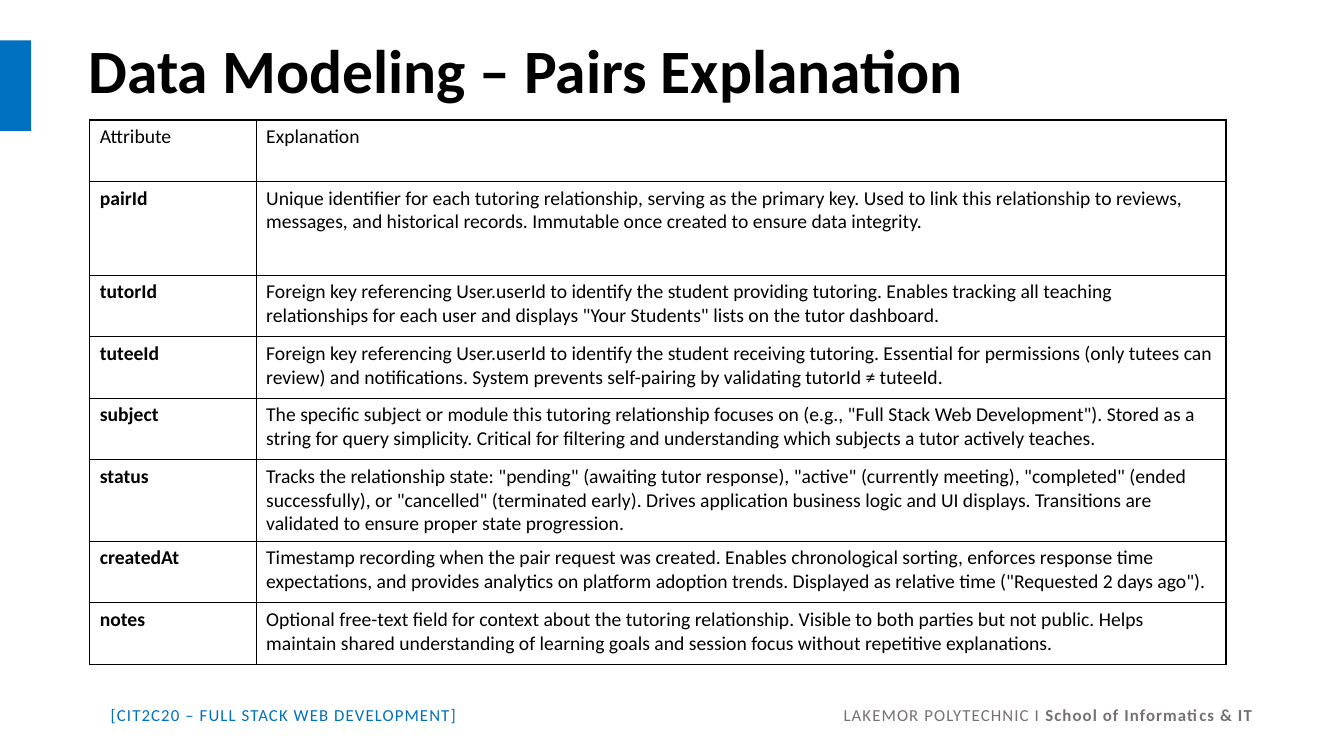
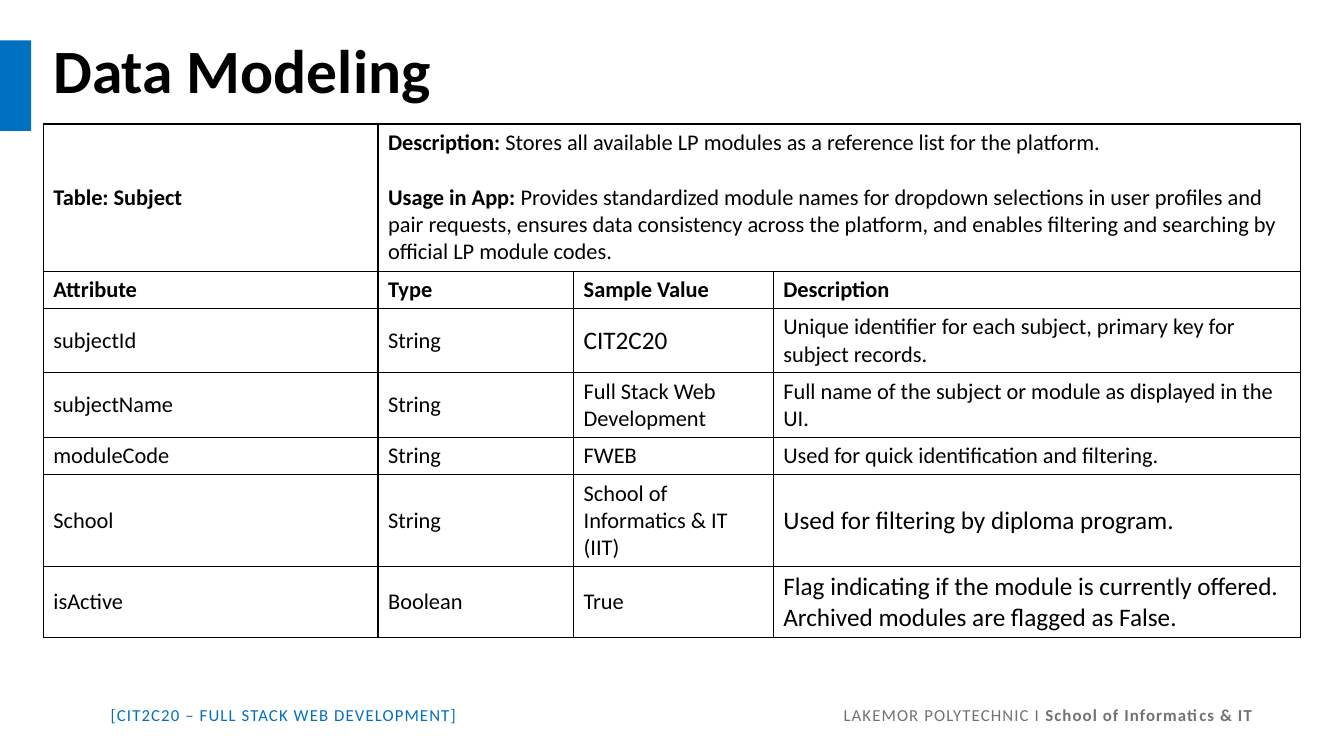
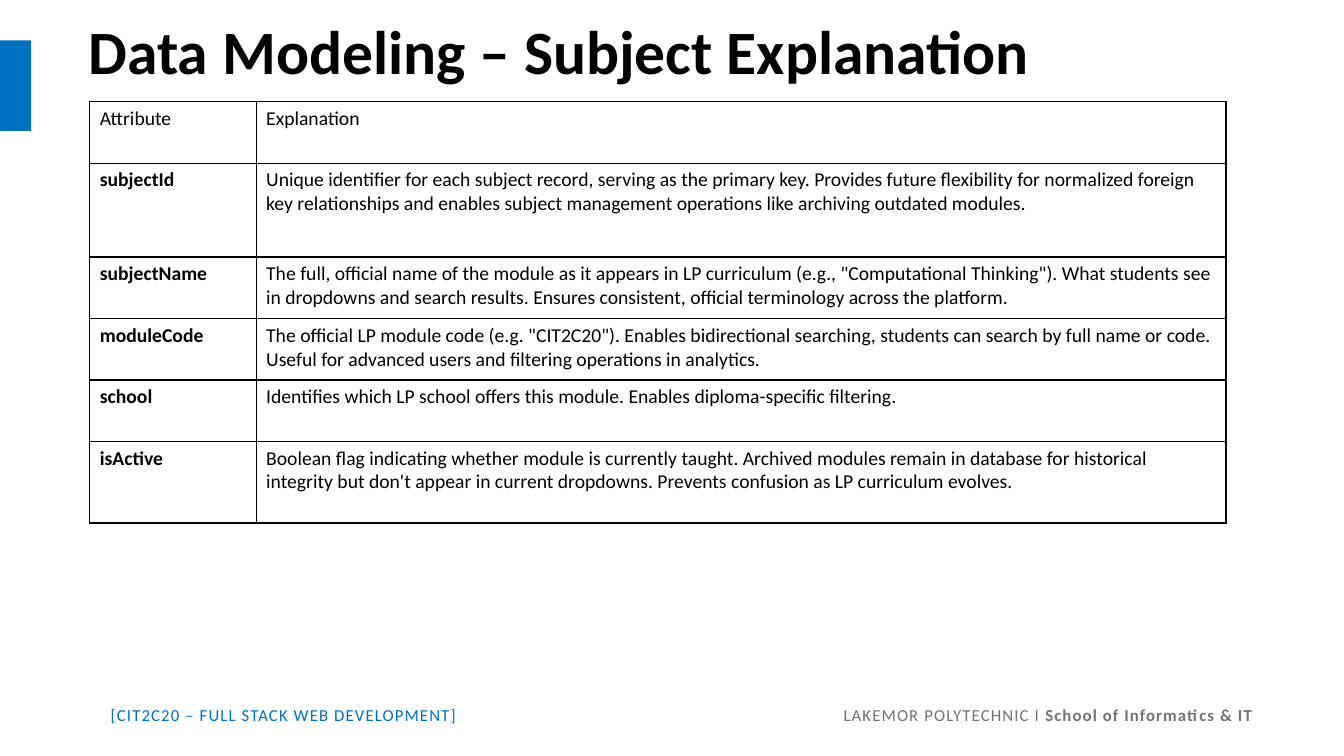
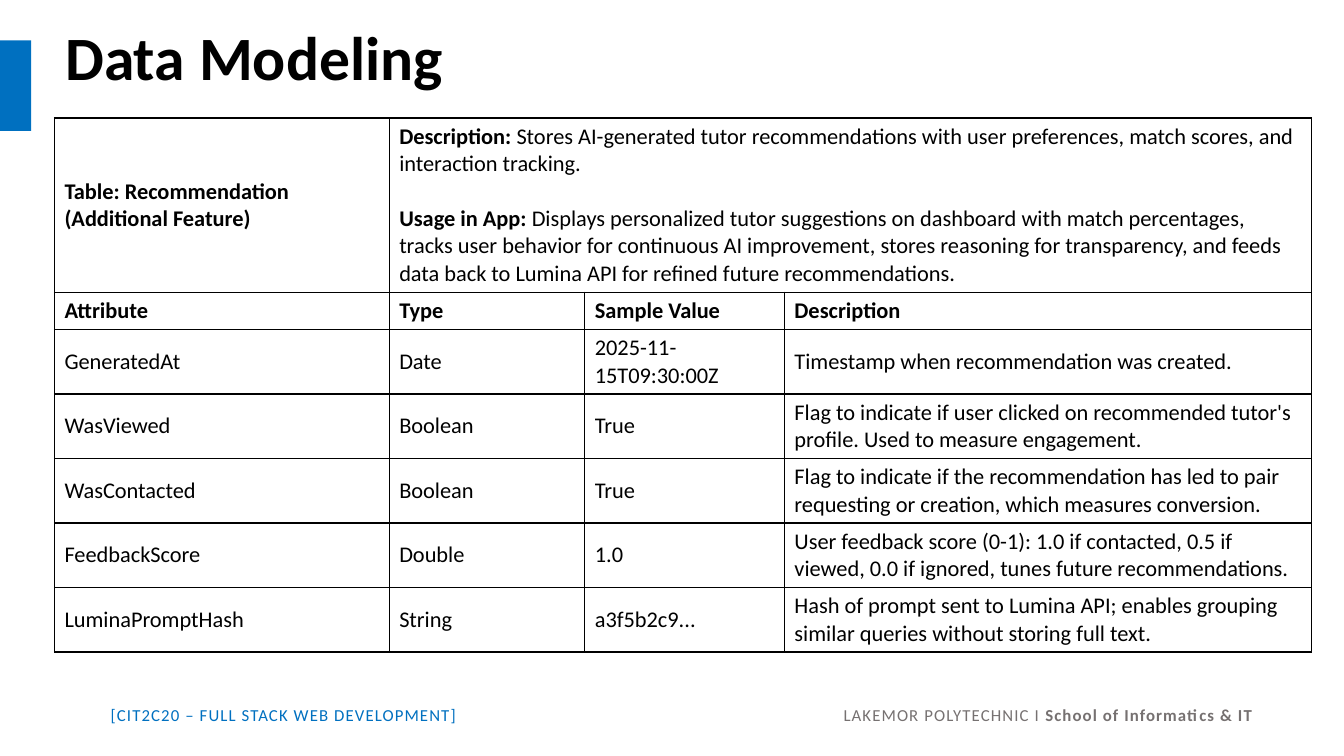
from lxml import etree
from pptx import Presentation
from pptx.dml.color import RGBColor
from pptx.enum.shapes import MSO_SHAPE
from pptx.enum.text import MSO_ANCHOR, PP_ALIGN
from pptx.oxml.ns import qn
from pptx.util import Inches, Pt

RECTANGLE = MSO_SHAPE.RECTANGLE
TOP, MIDDLE = MSO_ANCHOR.TOP, MSO_ANCHOR.MIDDLE
LEFT, RIGHT = PP_ALIGN.LEFT, PP_ALIGN.RIGHT

BLUE = RGBColor(0x00, 0x70, 0xC0)
GREY = RGBColor(0x76, 0x71, 0x71)
BLACK = RGBColor(0x00, 0x00, 0x00)
WHITE = RGBColor(0xFF, 0xFF, 0xFF)
FONT = "Calibri"
BLANK_LAYOUT = 6

EXPLANATION_COLUMNS = [1.65, 9.62]
MODEL_COLUMNS = [3.32, 1.94, 1.98, 5.23]
MODEL_HEADINGS = ["Attribute", "Type", "Sample Value", "Description"]

PAIRS_EXPLANATION = [
    ("pairId", "Unique identifier for each tutoring relationship, serving as the "
     "primary key. Used to link this relationship to reviews, messages, and "
     "historical records. Immutable once created to ensure data integrity."),
    ("tutorId", "Foreign key referencing User.userId to identify the student "
     "providing tutoring. Enables tracking all teaching relationships for each "
     'user and displays "Your Students" lists on the tutor dashboard.'),
    ("tuteeId", "Foreign key referencing User.userId to identify the student "
     "receiving tutoring. Essential for permissions (only tutees can review) and "
     "notifications. System prevents self-pairing by validating tutorId ≠ tuteeId."),
    ("subject", "The specific subject or module this tutoring relationship focuses "
     'on (e.g., "Full Stack Web Development"). Stored as a string for query '
     "simplicity. Critical for filtering and understanding which subjects a tutor "
     "actively teaches."),
    ("status", 'Tracks the relationship state: "pending" (awaiting tutor response), '
     '"active" (currently meeting), "completed" (ended successfully), or '
     '"cancelled" (terminated early). Drives application business logic and UI '
     "displays. Transitions are validated to ensure proper state progression."),
    ("createdAt", "Timestamp recording when the pair request was created. Enables "
     "chronological sorting, enforces response time expectations, and provides "
     "analytics on platform adoption trends. Displayed as relative time "
     '("Requested 2 days ago").'),
    ("notes", "Optional free-text field for context about the tutoring "
     "relationship. Visible to both parties but not public. Helps maintain shared "
     "understanding of learning goals and session focus without repetitive "
     "explanations."),
]

SUBJECT_EXPLANATION = [
    ("subjectId", "Unique identifier for each subject record, serving as the primary "
     "key. Provides future flexibility for normalized foreign key relationships and "
     "enables subject management operations like archiving outdated modules."),
    ("subjectName", "The full, official name of the module as it appears in LP "
     'curriculum (e.g., "Computational Thinking"). What students see in dropdowns '
     "and search results. Ensures consistent, official terminology across the "
     "platform."),
    ("moduleCode", 'The official LP module code (e.g. "CIT2C20"). Enables '
     "bidirectional searching, students can search by full name or code. Useful for "
     "advanced users and filtering operations in analytics."),
    ("school", "Identifies which LP school offers this module. Enables "
     "diploma-specific filtering."),
    ("isActive", "Boolean flag indicating whether module is currently taught. "
     "Archived modules remain in database for historical integrity but don't appear "
     "in current dropdowns. Prevents confusion as LP curriculum evolves."),
]

SUBJECT_MODEL = [
    ["subjectId", "String", "CIT2C20",
     "Unique identifier for each subject, primary key for subject records."],
    ["subjectName", "String", "Full Stack Web Development",
     "Full name of the subject or module as displayed in the UI."],
    ["moduleCode", "String", "FWEB", "Used for quick identification and filtering."],
    ["School", "String", "School of Informatics & IT (IIT)",
     "Used for filtering by diploma program."],
    ["isActive", "Boolean", "True",
     "Flag indicating if the module is currently offered. Archived modules are "
     "flagged as False."],
]
SUBJECT_LARGE_CELLS = {(0, 2), (3, 3), (4, 3)}

RECOMMENDATION_MODEL = [
    ["GeneratedAt", "Date", "2025-11-15T09:30:00Z",
     "Timestamp when recommendation was created."],
    ["WasViewed", "Boolean", "True",
     "Flag to indicate if user clicked on recommended tutor's profile. Used to "
     "measure engagement."],
    ["WasContacted", "Boolean", "True",
     "Flag to indicate if the recommendation has led to pair requesting or creation, "
     "which measures conversion."],
    ["FeedbackScore", "Double", "1.0",
     "User feedback score (0-1): 1.0 if contacted, 0.5 if viewed, 0.0 if ignored, "
     "tunes future recommendations."],
    ["LuminaPromptHash", "String", "a3f5b2c9...",
     "Hash of prompt sent to Lumina API; enables grouping similar queries without "
     "storing full text."],
]


def write_text(frame, paragraphs, *, size, color=BLACK, bold=False, align=LEFT,
               line_spacing=None, gap=0, tracking=None):
    """Fill a frame; a paragraph is a string or a list of (text, bold) runs."""
    frame.word_wrap = True
    for index, content in enumerate(paragraphs):
        paragraph = frame.paragraphs[0] if index == 0 else frame.add_paragraph()
        paragraph.alignment = align
        if line_spacing:
            paragraph.line_spacing = line_spacing
        if index and gap:
            paragraph.space_before = Pt(gap)
        runs = [(content, bold)] if isinstance(content, str) else content
        for text, run_bold in runs:
            run = paragraph.add_run()
            run.text = text
            run.font.name = FONT
            run.font.size = Pt(size)
            run.font.bold = run_bold
            run.font.color.rgb = color
            if tracking:
                run.font._element.set("spc", str(int(tracking * 100)))


def add_text(slide, left, top, width, height, paragraphs, anchor=TOP, **text_format):
    box = slide.shapes.add_textbox(Inches(left), Inches(top),
                                   Inches(width), Inches(height))
    box.text_frame.vertical_anchor = anchor
    write_text(box.text_frame, paragraphs, **text_format)


def add_base_slide(deck, title, left, top=0, height=1.45):
    """Add a slide with the footer, side band and title."""
    slide = deck.slides.add_slide(deck.slide_layouts[BLANK_LAYOUT])
    # Footer
    add_text(slide, 1, 6.94, 5, 0.3, ["[CIT2C20 – FULL STACK WEB DEVELOPMENT]"],
             size=12, color=BLUE, tracking=0.8)
    add_text(slide, 7.52, 6.94, 5, 0.3,
             [[("LAKEMOR POLYTECHNIC I ", False), ("School of Informatics & IT", True)]],
             size=12, color=GREY, align=RIGHT, tracking=0.8)
    # Side band
    band = slide.shapes.add_shape(RECTANGLE, 0, Inches(0.4), Inches(0.31), Inches(0.9))
    band.shadow.inherit = False
    band.fill.solid()
    band.fill.fore_color.rgb = BLUE
    band.line.fill.background()
    # Title
    add_text(slide, left, top, 11.5, height, [title], anchor=MIDDLE,
             size=44, bold=True, line_spacing=0.9)
    return slide


def add_grid(slide, left, top, columns, rows):
    """Add a plain table with thin black borders on every cell."""
    frame = slide.shapes.add_table(len(rows), len(columns), Inches(left), Inches(top),
                                   Inches(sum(columns)), Inches(sum(rows)))
    table = frame.table
    table.first_row = table.horz_banding = False
    for column, width in zip(table.columns, columns):
        column.width = Inches(width)
    for row, height in zip(table.rows, rows):
        row.height = Inches(height)
    for cell in table.iter_cells():
        properties = cell._tc.get_or_add_tcPr()
        for side in ("a:lnL", "a:lnR", "a:lnT", "a:lnB"):
            border = etree.SubElement(properties, qn(side), w=str(Pt(1)))
            fill = etree.SubElement(border, qn("a:solidFill"))
            etree.SubElement(fill, qn("a:srgbClr"), val=str(BLACK))
        cell.fill.solid()
        cell.fill.fore_color.rgb = WHITE
    return table


def write_cell(cell, paragraphs, anchor=MIDDLE, **text_format):
    cell.vertical_anchor = anchor
    write_text(cell.text_frame, paragraphs, **text_format)


def add_explanation_table(slide, top, rows, explanations):
    table = add_grid(slide, 0.89, top, EXPLANATION_COLUMNS, rows)
    entries = [("Attribute", "Explanation")] + explanations
    for index, (attribute, explanation) in enumerate(entries):
        write_cell(table.cell(index, 0), [attribute], TOP, size=14, bold=index > 0)
        write_cell(table.cell(index, 1), [explanation], TOP, size=14)


def add_model_table(slide, left, top, rows, name, description, usage, attributes,
                    large_cells=()):
    table = add_grid(slide, left, top, MODEL_COLUMNS, rows)
    # Table name and summary
    table.cell(0, 1).merge(table.cell(0, 3))
    write_cell(table.cell(0, 0), name, size=16, bold=True)
    summary = [[("Description: ", True), (description, False)],
               [("Usage in App: ", True), (usage, False)]]
    write_cell(table.cell(0, 1), summary, size=16, gap=19.5)
    # Headings
    for column, heading in enumerate(MODEL_HEADINGS):
        write_cell(table.cell(1, column), [heading], size=16, bold=True)
    # Attributes
    for row, values in enumerate(attributes):
        for column, value in enumerate(values):
            size = 18 if (row, column) in large_cells else 16
            write_cell(table.cell(row + 2, column), [value], size=size)


def main():
    deck = Presentation()
    deck.slide_width, deck.slide_height = Inches(13.33), Inches(7.5)

    # Pairs explanation
    slide = add_base_slide(deck, "Data Modeling – Pairs Explanation", 0.78)
    add_explanation_table(slide, 1.19, [0.61, 0.93, 0.61, 0.61, 0.61, 0.81, 0.61, 0.61],
                          PAIRS_EXPLANATION)

    # Subject model
    slide = add_base_slide(deck, "Data Modeling", 0.43)
    add_model_table(
        slide, 0.43, 1.23, [1.46, 0.37, 0.64, 0.64, 0.37, 0.91, 0.71],
        ["Table: Subject"],
        "Stores all available LP modules as a reference list for the platform.",
        "Provides standardized module names for dropdown selections in user profiles "
        "and pair requests, ensures data consistency across the platform, and enables "
        "filtering and searching by official LP module codes.",
        SUBJECT_MODEL, SUBJECT_LARGE_CELLS)

    # Subject explanation
    slide = add_base_slide(deck, "Data Modeling – Subject Explanation", 0.78, height=1.09)
    add_explanation_table(slide, 1.01, [0.61, 0.93, 0.61, 0.61, 0.61, 0.81],
                          SUBJECT_EXPLANATION)

    # Recommendation model
    slide = add_base_slide(deck, "Data Modeling", 0.55, top=-0.12)
    add_model_table(
        slide, 0.54, 1.17, [1.73, 0.37] + [0.64] * 5,
        ["Table: Recommendation", "(Additional Feature)"],
        "Stores AI-generated tutor recommendations with user preferences, match "
        "scores, and interaction tracking.",
        "Displays personalized tutor suggestions on dashboard with match percentages, "
        "tracks user behavior for continuous AI improvement, stores reasoning for "
        "transparency, and feeds data back to Lumina API for refined future "
        "recommendations.",
        RECOMMENDATION_MODEL)

    deck.save("out.pptx")


if __name__ == "__main__":
    main()
